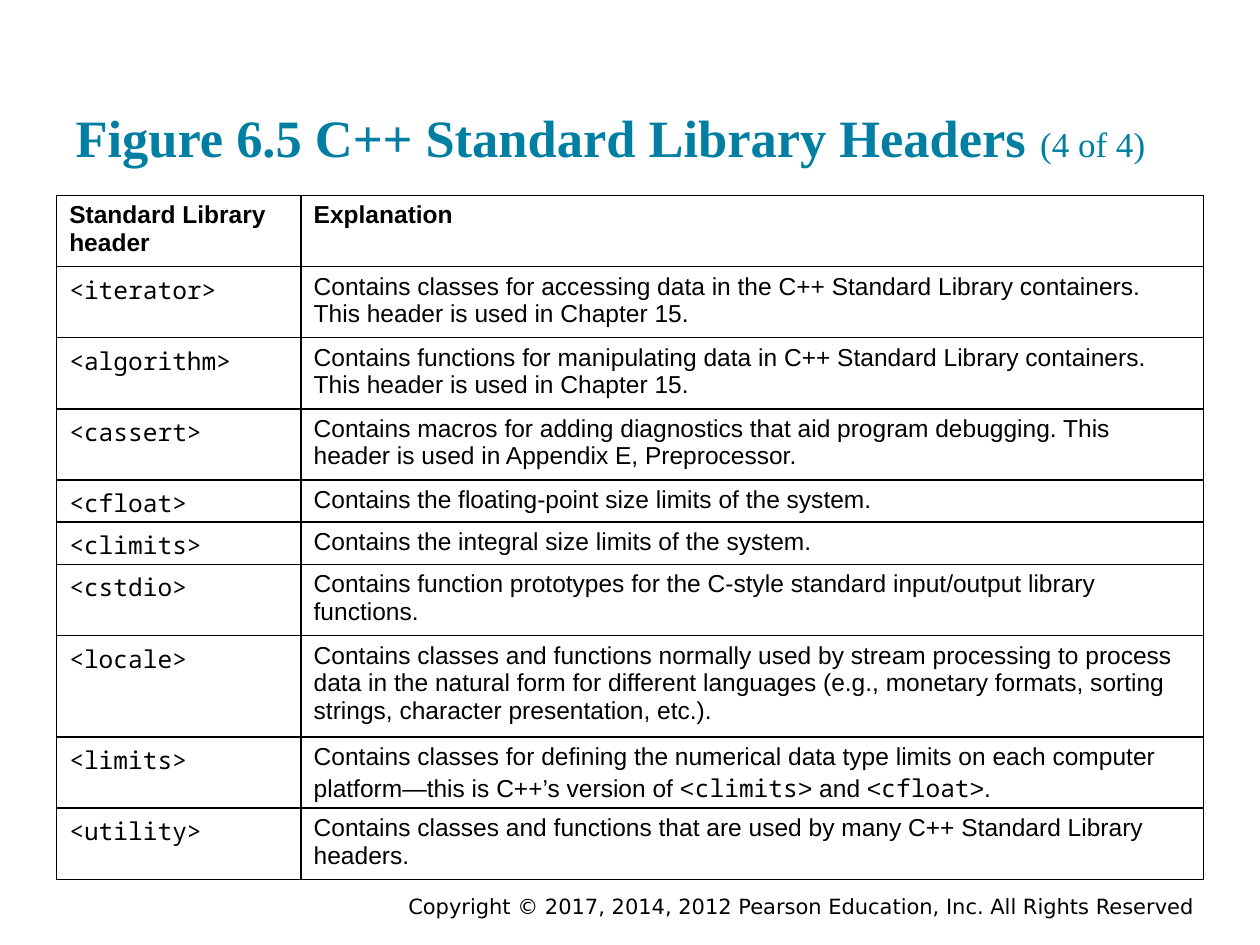
import dataclasses

import pptx
import pptx.dml.color
import pptx.enum.text
import pptx.oxml
import pptx.oxml.ns
import pptx.util
from pptx.util import Inches


@dataclasses.dataclass(frozen=True)
class Theme:
    heading: str = "007FA3"
    ink: str = "000000"
    paper: str = "FFFFFF"
    heading_font: str = "Times New Roman"
    body_font: str = "Arial"
    code_font: str = "Noto Sans Mono"
    footer_font: str = "DejaVu Sans"
    title_size: int = 30
    count_size: int = 20
    table_size: int = 14
    footer_size: int = 12


theme = Theme()


def style(span, name, size, colour, bold=False):
    span.font.name = name
    span.font.size = pptx.util.Pt(size)
    span.font.color.rgb = pptx.dml.color.RGBColor.from_string(colour)
    span.font.bold = bold


def add_borders(cell):
    properties = cell._tc.get_or_add_tcPr()
    for side in ("lnL", "lnR", "lnT", "lnB"):
        properties.append(pptx.oxml.parse_xml(
            f'<a:{side} {pptx.oxml.ns.nsdecls("a")} w="12700"><a:solidFill>'
            f'<a:srgbClr val="{theme.ink}"/></a:solidFill></a:{side}>'))


# Backticks enclose code; a line break starts a new paragraph.
# The first value of each row is its share of the table height.
rows = [
    (0.54, "Standard Library\nheader", "Explanation"),
    (0.54, "`<iterator>`",
     "Contains classes for accessing data in the C++ Standard Library "
     "containers. This header is used in Chapter 15."),
    (0.54, "`<algorithm>`",
     "Contains functions for manipulating data in C++ Standard Library "
     "containers.\nThis header is used in Chapter 15."),
    (0.54, "`<cassert>`",
     "Contains macros for adding diagnostics that aid program debugging. "
     "This header is used in Appendix E, Preprocessor."),
    (0.32, "`<cfloat>`",
     "Contains the floating-point size limits of the system."),
    (0.32, "`<climits>`",
     "Contains the integral size limits of the system."),
    (0.54, "`<cstdio>`",
     "Contains function prototypes for the C-style standard input/output "
     "library functions."),
    (0.77, "`<locale>`",
     "Contains classes and functions normally used by stream processing to "
     "process data in the natural form for different languages (e.g., "
     "monetary formats, sorting strings, character presentation, etc.)."),
    (0.54, "`<limits>`",
     "Contains classes for defining the numerical data type limits on each "
     "computer platform—this is C++’s version of <`climits`> and <`cfloat`>."),
    (0.54, "`<utility>`",
     "Contains classes and functions that are used by many C++ Standard "
     "Library headers."),
]

deck = pptx.Presentation()
deck.slide_width, deck.slide_height = Inches(10), Inches(7.5)
page = deck.slides.add_slide(deck.slide_layouts[5])

# Title
title = page.shapes.title
title.left, title.top = Inches(0.5), Inches(0.23)
title.width, title.height = Inches(9), Inches(1.2)
frame = title.text_frame
frame.word_wrap = True
frame.auto_size = pptx.enum.text.MSO_AUTO_SIZE.NONE
frame.vertical_anchor = pptx.enum.text.MSO_ANCHOR.BOTTOM
frame.margin_left = frame.margin_right = Inches(0.1)
frame.margin_top = frame.margin_bottom = Inches(0.1)
para = frame.paragraphs[0]
para.alignment = pptx.enum.text.PP_ALIGN.LEFT
for text, size, bold in (
        ("Figure 6.5 C++ Standard Library Headers ", theme.title_size, True),
        ("(4 of 4)", theme.count_size, False)):
    span = para.add_run()
    span.text = text
    style(span, theme.heading_font, size, theme.heading, bold)

# Table of headers
table_height = 5.43
total_share = sum(row[0] for row in rows)
table = page.shapes.add_table(
    len(rows), 2, Inches(0.45), Inches(1.55),
    Inches(9.1), Inches(table_height)).table
for column, width in zip(table.columns, (1.94, 7.16)):
    column.width = Inches(width)
for row_index, (share, *texts) in enumerate(rows):
    table.rows[row_index].height = Inches(table_height * share / total_share)
    for column_index, text in enumerate(texts):
        cell = table.cell(row_index, column_index)
        cell.margin_bottom = 0
        add_borders(cell)
        cell.fill.solid()
        cell.fill.fore_color.rgb = pptx.dml.color.RGBColor.from_string(theme.paper)
        frame = cell.text_frame
        for line_index, line in enumerate(text.split("\n")):
            para = frame.add_paragraph() if line_index else frame.paragraphs[0]
            for part_index, part in enumerate(line.split("`")):
                if part:
                    span = para.add_run()
                    span.text = part
                    font = theme.code_font if part_index % 2 else theme.body_font
                    style(span, font, theme.table_size, theme.ink, row_index == 0)

# Copyright line
footer = page.shapes.add_textbox(
    Inches(2.9), Inches(7.06), Inches(6.68), Inches(0.27))
frame = footer.text_frame
frame.word_wrap = True
frame.vertical_anchor = pptx.enum.text.MSO_ANCHOR.MIDDLE
frame.text = ("Copyright © 2017, 2014, 2012 Pearson Education, Inc. "
              "All Rights Reserved")
para = frame.paragraphs[0]
para.alignment = pptx.enum.text.PP_ALIGN.RIGHT
style(para.runs[0], theme.footer_font, theme.footer_size, theme.ink)

deck.save("out.pptx")
